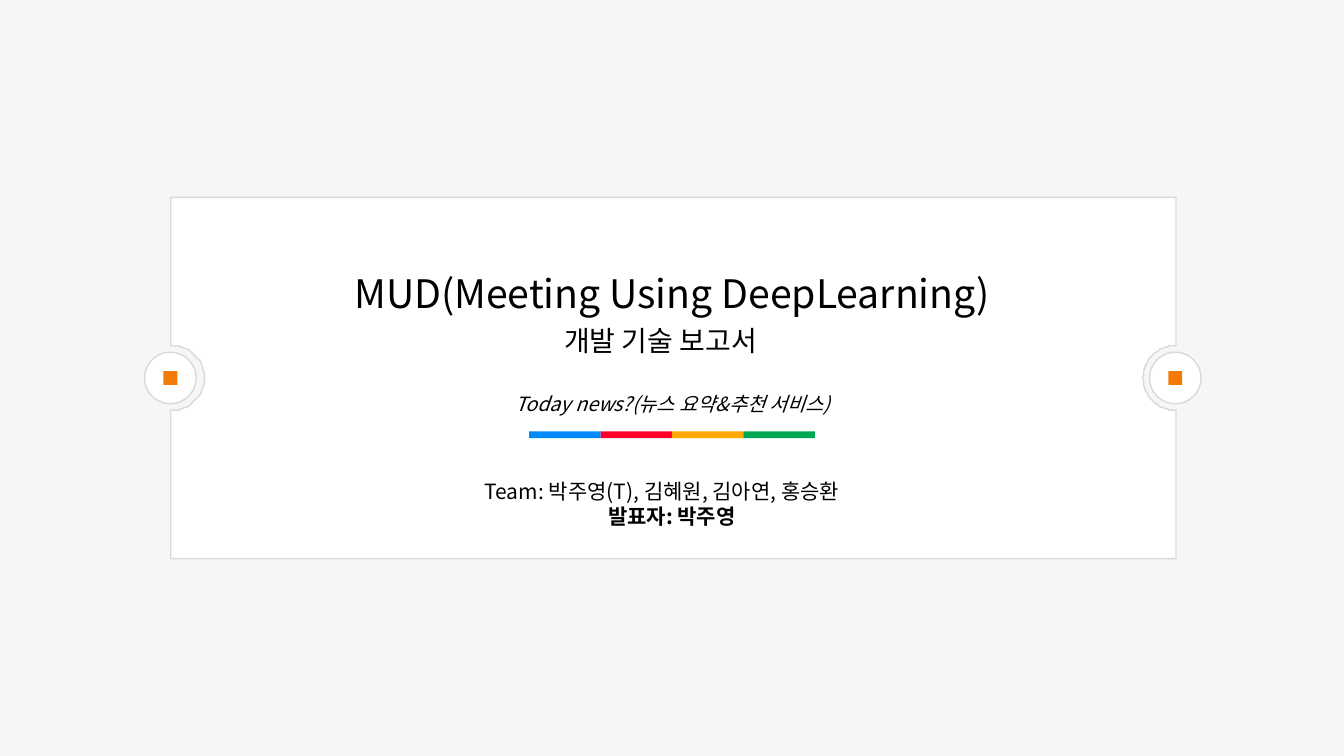
import math
from dataclasses import dataclass

from lxml import etree
from pptx import Presentation
from pptx import util as u
from pptx.dml.color import RGBColor
from pptx.enum import shapes, text
from pptx.oxml.ns import qn

Pt = u.Pt


@dataclass(frozen=True)
class Theme:
    """Colours, font and type sizes of the deck."""
    font: str = "Noto Sans CJK KR"
    page: str = "F6F6F6"
    card: str = "FFFFFF"
    outline: str = "D9D9D9"
    ink: str = "000000"
    accent: str = "F27A07"
    stripes: tuple = ("0089FA", "FF002B", "FFA900", "00A753")
    title: int = 28
    subtitle: int = 20
    team: int = 15
    tagline: int = 14
    leading: float = 1.2


THEME = Theme()


@dataclass(frozen=True)
class Box:
    """A rectangle in points."""
    left: float
    top: float
    width: float
    height: float

    def inner(self, left, top, width, height):
        """Return a box placed relative to this one."""
        return Box(self.left + left, self.top + top, width, height)

    def lengths(self):
        """Return left, top, width and height as slide lengths."""
        return [Pt(value) for value in (self.left, self.top, self.width, self.height)]


def paint(shape, fill, line=None):
    """Give a shape a flat fill and an optional thin outline."""
    shape.shadow.inherit = False
    shape.fill.solid()
    shape.fill.fore_color.rgb = RGBColor.from_string(fill)
    if line:
        shape.line.color.rgb = RGBColor.from_string(line)
        shape.line.width = Pt(1)
    else:
        shape.line.fill.background()


def add_block(page, kind, box, fill, line=None):
    """Add a painted preset shape."""
    paint(page.shapes.add_shape(kind, *box.lengths()), fill, line)


def write(shape, box, lines, size, centred=True, italic=False):
    """Place a text shape and set its lines in the theme font."""
    shape.left, shape.top, shape.width, shape.height = box.lengths()
    frame = shape.text_frame
    frame.word_wrap = True
    frame.auto_size = text.MSO_AUTO_SIZE.NONE
    frame.vertical_anchor = text.MSO_ANCHOR.TOP
    frame.text = "\n".join(lines)
    for para in frame.paragraphs:
        para.alignment = text.PP_ALIGN.CENTER if centred else text.PP_ALIGN.LEFT
        para.line_spacing = Pt(size * THEME.leading)
        para.space_before = para.space_after = Pt(0)
        for span in para.runs:
            span.font.size = Pt(size)
            span.font.name = THEME.font
            span.font.italic = italic
            span.font.color.rgb = RGBColor.from_string(THEME.ink)
            east_asian = etree.SubElement(span.font._element, qn("a:ea"))
            east_asian.set("typeface", THEME.font)
    return frame


def arc(centre_x, centre_y, radius, start, sweep, steps=48):
    """Return points along an arc, angles in degrees."""
    angles = [math.radians(start + sweep * step / steps) for step in range(steps + 1)]
    return [(centre_x + radius * math.cos(angle), centre_y + radius * math.sin(angle))
            for angle in angles]


def draw_card(page, box):
    """Draw the white card with round notches and a knob on each side."""
    right, bottom = box.left + box.width, box.top + box.height
    middle, radius, inset = box.top + box.height / 2, 23, 1.4
    points = [(box.left, box.top), (right, box.top)]
    points += arc(right, middle, radius, 270, -180)
    points += [(right, bottom), (box.left, bottom), (box.left, middle + radius)]
    points += arc(box.left + inset, middle, radius, 90, -180)
    points += [(box.left, middle - radius)]
    builder = page.shapes.build_freeform(*points[0], scale=Pt(1))
    builder.add_line_segments(points[1:], close=True)
    paint(builder.convert_to_shape(), THEME.card, THEME.outline)

    kinds = shapes.MSO_SHAPE
    for centre in (0, box.width):
        for kind, size, fill, line in ((kinds.OVAL, 36.8, THEME.card, THEME.outline),
                                       (kinds.RECTANGLE, 10, THEME.accent, None)):
            knob = box.inner(centre - size / 2, (box.height - size) / 2, size, size)
            add_block(page, kind, knob, fill, line)


def draw_stripes(page, box):
    """Draw the row of equal coloured stripes."""
    width = box.width / len(THEME.stripes)
    for index, colour in enumerate(THEME.stripes):
        stripe = box.inner(index * width, 0, width, box.height)
        add_block(page, shapes.MSO_SHAPE.RECTANGLE, stripe, colour)


def draw_texts(page, box):
    """Write the headings, the tagline and the team inside the card."""
    title, subtitle = page.placeholders
    for heading in (title, subtitle):
        page.shapes._spTree.append(heading._element)
    write(title, box.inner(74.2, 48, 568, 41),
          ["MUD(Meeting Using DeepLearning)"], THEME.title)
    write(subtitle, box.inner(66.2, 86, 568, 32), ["개발 기술 보고서"], THEME.subtitle)

    tagline = page.shapes.add_textbox(0, 0, 0, 0)
    write(tagline, box.inner(74.9, 135.3, 568, 24.5),
          ["Today news?(뉴스 요약&추천 서비스)"], THEME.tagline, italic=True)

    team = page.shapes.add_textbox(0, 0, 0, 0)
    frame = write(team, box.inner(217.4, 197.2, 281.5, 44),
                  ["Team: 박주영(T), 김혜원, 김아연, 홍승환", "발표자: 박주영"],
                  THEME.team, centred=False)
    speaker = frame.paragraphs[1]
    speaker.alignment = text.PP_ALIGN.CENTER
    speaker.runs[0].font.bold = True


def build_cover(deck):
    """Build the cover slide."""
    page = deck.slides.add_slide(deck.slide_layouts[0])
    page.background.fill.solid()
    page.background.fill.fore_color.rgb = RGBColor.from_string(THEME.page)
    card = Box(121.7, 141.1, 717.8, 257.8)
    draw_card(page, card)
    draw_stripes(page, card.inner(256.3, 167, 204, 5))
    draw_texts(page, card)


def main():
    """Create and save the deck."""
    deck = Presentation()
    deck.slide_width, deck.slide_height = Pt(960), Pt(540)
    build_cover(deck)
    deck.save("out.pptx")


if __name__ == "__main__":
    main()
